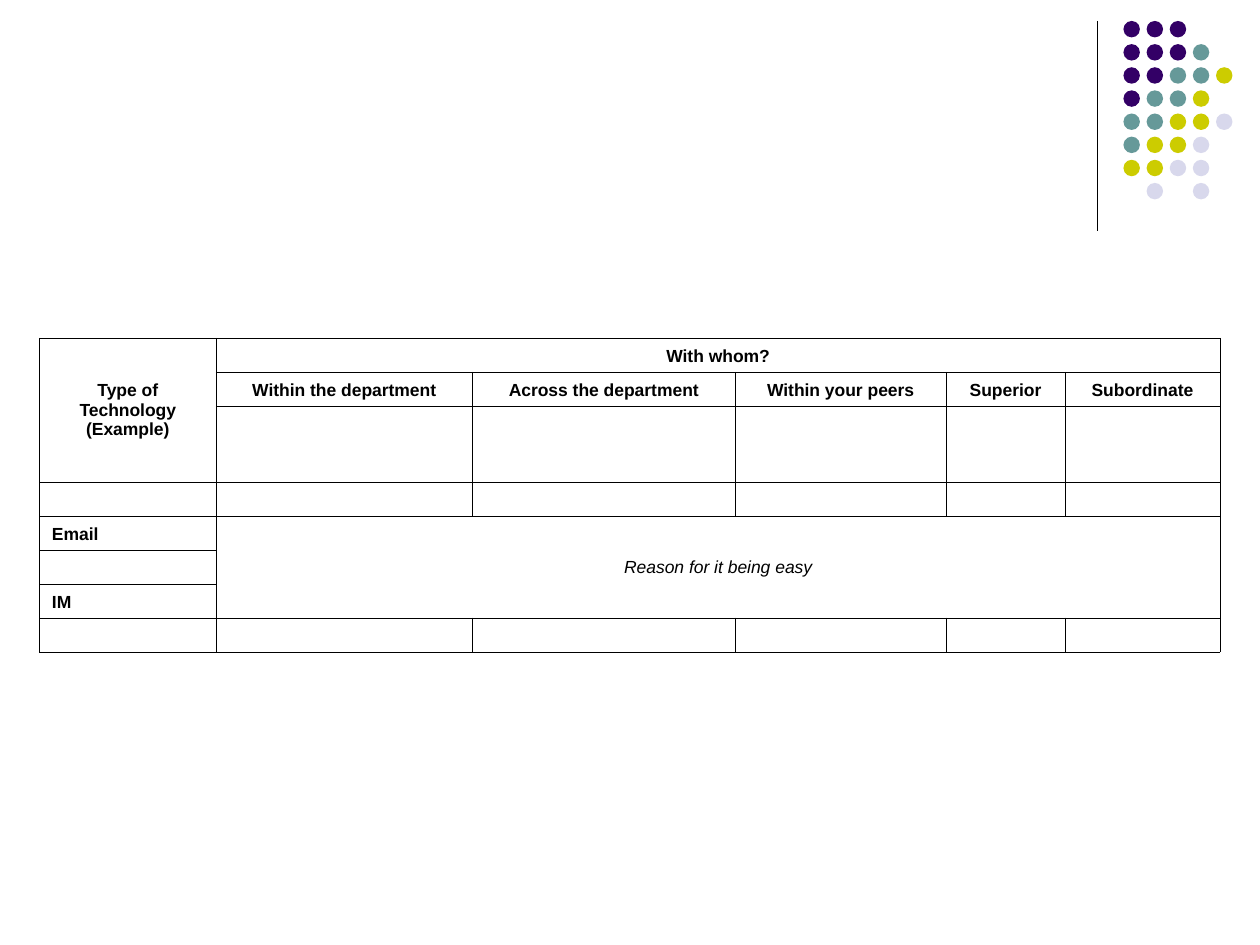
from lxml import etree
from pptx import Presentation
from pptx.dml.color import RGBColor
from pptx.enum.shapes import MSO_CONNECTOR, MSO_SHAPE
from pptx.enum.text import MSO_ANCHOR, PP_ALIGN
from pptx.oxml.ns import qn
from pptx.util import Pt

BLACK = RGBColor(0, 0, 0)
PURPLE = RGBColor(0x33, 0x00, 0x66)
TEAL = RGBColor(0x66, 0x99, 0x99)
LIME = RGBColor(0xCC, 0xCC, 0x00)
PALE = RGBColor(0xD8, 0xD8, 0xEC)


def frame(cell):
    """Give a cell thin black borders and no fill."""
    props = cell._tc.get_or_add_tcPr()
    for side in ("lnL", "lnR", "lnT", "lnB"):
        line = etree.SubElement(props, qn("a:" + side), w=str(Pt(0.45)))
        fill = etree.SubElement(line, qn("a:solidFill"))
        etree.SubElement(fill, qn("a:srgbClr"), val=str(BLACK))
    cell.fill.background()


def write(cell, text, align, anchor, slant=False):
    """Put one run of text into a cell, bold or italic."""
    cell.vertical_anchor = anchor
    para = cell.text_frame.paragraphs[0]
    para.alignment = align
    run = para.add_run()
    run.text = text
    font = run.font
    font.name, font.size = "Arial", Pt(10)
    font.bold, font.italic = not slant, slant
    font.color.rgb = BLACK


deck = Presentation()
deck.slide_width, deck.slide_height = Pt(720), Pt(540)
slide = deck.slides.add_slide(deck.slide_layouts[6])
shapes = slide.shapes

# Rule and dot pattern at the top right
rule = shapes.add_connector(MSO_CONNECTOR.STRAIGHT, Pt(627), Pt(12), Pt(627), Pt(132))
rule.line.color.rgb = BLACK
rule.line.width = Pt(0.74)
etree.SubElement(rule._element.spPr, qn("a:effectLst"))

colors = {"P": PURPLE, "T": TEAL, "L": LIME, "A": PALE}
dots = ["PPP", "PPPT", "PPTTL", "PTTL", "TTLLA", "TLLA", "LLAA", ".A.A"]
step, size = 13.22, 9.4
for row, marks in enumerate(dots):
    for col, mark in enumerate(marks):
        if mark == ".":
            continue
        dot = shapes.add_shape(MSO_SHAPE.OVAL, Pt(642 + col * step),
                               Pt(12 + row * step), Pt(size), Pt(size))
        dot.shadow.inherit = False
        dot.fill.solid()
        dot.fill.fore_color.rgb = colors[mark]
        dot.line.fill.background()

# Table
widths = [101, 146.3, 150.3, 120.5, 68, 88.6]
heights = [19.44, 19.44, 43.4] + [19.44] * 5
table = shapes.add_table(len(heights), len(widths), Pt(22.5), Pt(193.3),
                         Pt(sum(widths)), Pt(sum(heights))).table
table.first_row = table.horz_banding = False
for col, width in zip(table.columns, widths):
    col.width = Pt(width)
for row, height in zip(table.rows, heights):
    row.height = Pt(height)

for cell in table.iter_cells():
    frame(cell)
for top, left, bottom, right in [(0, 0, 2, 0), (0, 1, 0, 5), (4, 1, 6, 5)]:
    table.cell(top, left).merge(table.cell(bottom, right))

MID, LOW = MSO_ANCHOR.MIDDLE, MSO_ANCHOR.BOTTOM
write(table.cell(0, 0), "Type of Technology (Example)", PP_ALIGN.CENTER, MID)
write(table.cell(0, 1), "With whom?", PP_ALIGN.CENTER, LOW)
heads = ["Within the department", "Across the department",
         "Within your peers", "Superior", "Subordinate"]
for col, head in enumerate(heads, 1):
    write(table.cell(1, col), head, PP_ALIGN.CENTER, LOW)
for row, tool in [(4, "Email"), (6, "IM")]:
    write(table.cell(row, 0), tool, PP_ALIGN.LEFT, LOW)
write(table.cell(4, 1), "Reason for it being easy", PP_ALIGN.CENTER, MID, slant=True)

# Small type in empty cells keeps the rows low
for cell in table.iter_cells():
    if not cell.text_frame.text:
        para = cell.text_frame.paragraphs[0]
        etree.SubElement(para._p, qn("a:endParaRPr"), sz="1000")

deck.save("out.pptx")
